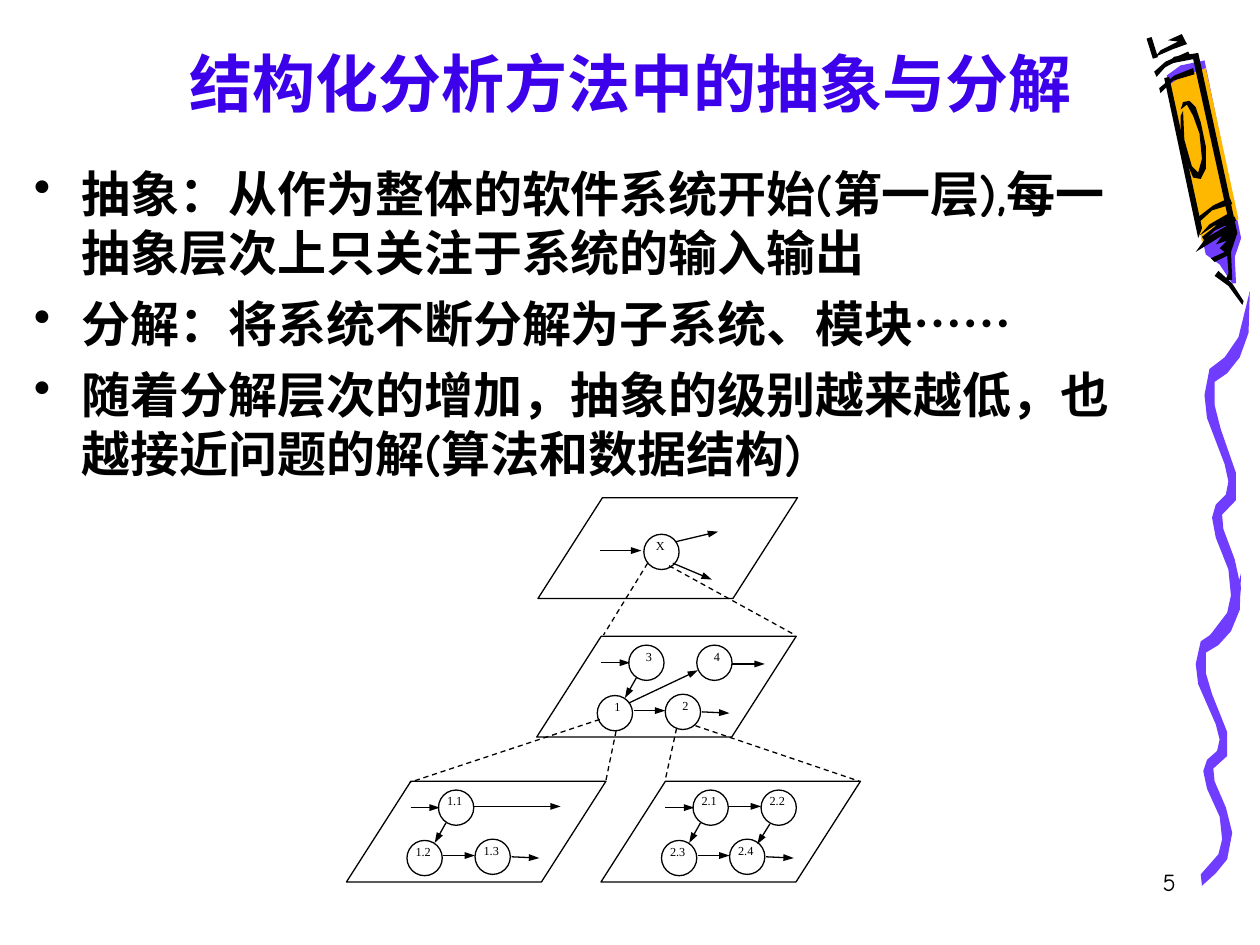
import dataclasses

import lxml.etree
import pptx
import pptx.dml.color
import pptx.enum.dml
import pptx.enum.shapes
import pptx.enum.text
import pptx.oxml.ns
import pptx.util

Inches = pptx.util.Inches
Align = pptx.enum.text.PP_ALIGN
Shape = pptx.enum.shapes.MSO_SHAPE


@dataclasses.dataclass
class Theme:
    ink: str = "000000"
    white: str = "FFFFFF"
    title: str = "3D00EA"
    purple: str = "703DFF"
    gold: str = "FFB800"
    main: str = "Comic Neue"
    dots: str = "Arial"
    label: str = "Times New Roman"
    head: float = 36
    body: float = 28
    page: float = 14
    small: float = 7
    thin: float = 0.75
    thick: float = 3


THEME = Theme()

# Outlines are "x,y" pairs in inches.
WAVE = (
    "9.53,6.94 9.67,6.78 9.7,6.66 9.68,6.48 9.58,6.26 9.55,6.12 9.58,6.03 9.66,5.96 "
    "9.68,5.87 9.65,5.75 9.51,5.43 9.49,5.27 9.53,5.09 9.65,5.01 9.76,4.87 9.85,4.55 "
    "9.84,4.84 9.77,5.01 9.67,5.12 9.57,5.18 9.57,5.34 9.62,5.51 9.74,5.81 9.74,6 "
    "9.63,6.1 9.64,6.2 9.73,6.41 9.78,6.61 9.74,6.82 9.65,6.93 9.54,7.03")
CRAYON = [
    (THEME.white, "9.5,.44 9.3,.47 9.19,.57 9.49,1.97 9.62,2.07 9.72,2.2 9.76,2.19 "
                  "9.75,1.98 9.79,1.85"),
    (THEME.purple, "9.26,.6 9.57,2.02 9.68,2.1 9.78,2.25 9.81,2.25 9.8,2.04 9.85,1.89 "
                   "9.56,.48 9.37,.52"),
    (THEME.gold, "9.54,1.92 9.68,1.79 9.83,1.74 9.57,.54 9.36,.62 9.27,.68"),
    (THEME.ink, "9.64,2.19 9.75,2.27 9.86,2.42 9.87,2.39 9.78,2.25 9.67,2.15"),
    (THEME.ink, "9.17,.45 9.31,.39 9.42,.35 9.38,.27 9.27,.32 9.35,.33 9.21,.4"),
    (THEME.ink, "9.37,.92 9.37,1.06 9.41,1.27 9.47,1.41 9.53,1.42 9.57,1.34 9.57,1.16 "
                "9.53,.97 9.49,.85 9.44,.8 9.39,.81 9.37,.87 9.42,.83 9.47,.92 9.52,1.06 "
                "9.54,1.26 9.51,1.37 9.46,1.32 9.4,1.11 9.39,.88"),
    (THEME.ink, "9.24,.62 9.51,1.89 9.54,1.81 9.28,.61"),
    (THEME.ink, "9.49,2 9.57,1.89 9.74,1.79 9.64,1.79 9.52,1.87 9.6,1.78 9.74,1.7 "
                "9.47,.47 9.31,.5 9.2,.56 9.32,.45 9.51,.42 9.82,1.85 9.77,2 9.78,2.22 "
                "9.72,2.23 9.75,2.17 9.74,2.03 9.64,2.08 9.61,2.05 9.72,2 9.68,1.97 "
                "9.74,1.91 9.65,1.94 9.7,1.87"),
    (THEME.ink, "9.56,1.91 9.64,1.83 9.81,1.75 9.8,1.72 9.69,1.76 9.54,1.88"),
    (THEME.ink, "9.51,1.77 9.62,1.67 9.78,1.62 9.76,1.57 9.63,1.63 9.5,1.73"),
    (THEME.ink, "9.21,.74 9.31,.64 9.48,.59 9.47,.54 9.32,.6 9.2,.7"),
    (THEME.ink, "9.18,.61 9.26,.52 9.45,.45 9.43,.41 9.25,.49 9.16,.57"),
]

BULLETS = [
    [("抽象：从作为整体的软件系统开始(第一层),每一抽象层次上只关注于系统的输入输出", THEME.main)],
    [("分解：将系统不断分解为子系统、模块", THEME.main), ("……", THEME.dots)],
    [("随着分解层次的增加，抽象的级别越来越低，也越接近问题的解(算法和数据结构)", THEME.main)],
]

# Node slots and arrows are measured from the corner of their plane.
SLOTS = [(0.73, 0.07), (1.27, 0.07), (0.48, 0.47), (1.02, 0.46)]
FLOWS = [(0.51, 0.21, 0.74, 0.21), (0.79, 0.33, 0.7, 0.49),
         (0.77, 0.59, 1.02, 0.59), (1.31, 0.6, 1.53, 0.61)]
PLANES = [
    (4.77, 6.2, ["2.1", "2.2", "2.3", "2.4"], Align.JUSTIFY,
     [(1.01, 0.2, 1.27, 0.2), (1.34, 0.34, 1.24, 0.5)]),
    (4.26, 5.05, ["3", "4", "1", "2"], Align.CENTER,
     [(1.55, 0.22, 1.81, 0.22), (0.73, 0.53, 1.28, 0.27)]),
    (2.75, 6.2, ["1.1", "", "1.2", "1.3"], Align.JUSTIFY,
     [(1.01, 0.2, 1.7, 0.2)]),
]
TOP = (4.27, 3.95)
TOP_FLOWS = [(0.49, 0.42, 0.82, 0.42), (1.09, 0.35, 1.43, 0.27), (1.07, 0.52, 1.38, 0.65)]
LINKS = [(5.14, 4.47, 4.79, 5.04), (5.31, 4.49, 6.31, 5.04),
         (4.76, 5.71, 3.25, 6.21), (4.89, 5.8, 4.81, 6.19),
         (5.37, 5.78, 5.28, 6.19), (5.52, 5.76, 6.82, 6.2)]


def color(code):
    return pptx.dml.color.RGBColor.from_string(code)


def add_tag(parent, name, **attrs):
    return lxml.etree.SubElement(parent, pptx.oxml.ns.qn(name), attrs)


def pairs(text):
    return [tuple(map(float, pair.split(","))) for pair in text.split()]


class Page:
    def __init__(self, deck, theme):
        self.theme = theme
        self.slide = deck.slides.add_slide(deck.slide_layouts[5])
        self.shapes = self.slide.shapes

    def style(self, para, size, face=None, tint=None, bold=False):
        font = para.font
        font.size, font.bold = pptx.util.Pt(size), bold
        font.color.rgb = color(tint or self.theme.ink)
        if face:
            font.name = face

    def title(self, text, x, y, w, h):
        box = self.shapes.title
        box.left, box.top, box.width, box.height = map(Inches, (x, y, w, h))
        frame = box.text_frame
        frame.auto_size = pptx.enum.text.MSO_AUTO_SIZE.NONE
        frame.vertical_anchor = pptx.enum.text.MSO_ANCHOR.BOTTOM
        frame.text = text
        para = frame.paragraphs[0]
        para.alignment = Align.CENTER
        self.style(para, self.theme.head, self.theme.main, self.theme.title, True)

    def frame(self, x, y, w, h):
        frame = self.shapes.add_textbox(*map(Inches, (x, y, w, h))).text_frame
        frame.word_wrap = True
        return frame

    def text(self, text, x, y, w, h, size, face, align):
        para = self.frame(x, y, w, h).paragraphs[0]
        para.text, para.alignment = text, align
        self.style(para, size, face)

    def bullets(self, items, x, y, w, h):
        frame = self.frame(x, y, w, h)
        for i, runs in enumerate(items):
            para = frame.add_paragraph() if i else frame.paragraphs[0]
            props = para._p.get_or_add_pPr()
            props.set("marL", str(Inches(0.38)))
            props.set("indent", str(-Inches(0.38)))
            add_tag(props, "a:buChar", char="•")
            if i:
                para.space_before = pptx.util.Pt(7)
            self.style(para, self.theme.body, bold=True)
            for words, face in runs:
                run = para.add_run()
                run.text, run.font.name = words, face

    def patch(self, points, fill):
        spots = [(Inches(x), Inches(y)) for x, y in points]
        pen = self.shapes.build_freeform(*spots[0], scale=1.0)
        pen.add_line_segments(spots[1:], close=True)
        shape = pen.convert_to_shape()
        shape.shadow.inherit = False
        shape.fill.solid()
        shape.fill.fore_color.rgb = color(fill)
        shape.line.fill.background()

    def outline(self, kind, x, y, w, h):
        shape = self.shapes.add_shape(kind, *map(Inches, (x, y, w, h)))
        shape.shadow.inherit = False
        shape.fill.background()
        shape.line.color.rgb = color(self.theme.ink)
        shape.line.width = pptx.util.Pt(self.theme.thin)
        return shape

    def plane(self, x, y):
        self.outline(Shape.PARALLELOGRAM, x, y, 2.06, 0.8).adjustments[0] = 0.64

    def node(self, text, x, y, align, shift=0.03):
        self.text(text, x - shift, y - 0.02, 0.38, 0.32, self.theme.small,
                  self.theme.label, align)
        self.outline(Shape.OVAL, x, y, 0.28, 0.28)

    def line(self, ends, width=THEME.thin, dash=False, arrow=False):
        kind = pptx.enum.shapes.MSO_CONNECTOR.STRAIGHT
        link = self.shapes.add_connector(kind, *map(Inches, ends))
        link.line.color.rgb = color(self.theme.ink)
        link.line.width = pptx.util.Pt(width)
        if dash:
            link.line.dash_style = pptx.enum.dml.MSO_LINE.DASH
        if arrow:
            add_tag(link.line._get_or_add_ln(), "a:tailEnd", type="triangle", w="sm", len="med")
        add_tag(link._element.spPr, "a:effectLst")

    def flows(self, x, y, items):
        for x1, y1, x2, y2 in items:
            self.line((x + x1, y + y1, x + x2, y + y2), arrow=True)


def main():
    deck = pptx.Presentation()
    deck.slide_width, deck.slide_height = Inches(10), Inches(7.5)
    page = Page(deck, THEME)

    wave = pairs(WAVE)
    page.patch(wave, THEME.purple)
    page.patch([(x + 0.07, 2.31 + (y - 4.55) * 1.145) for x, y in wave], THEME.purple)
    for fill, points in CRAYON:
        page.patch(pairs(points), fill)
    page.line((9.12, 0.3, 9.17, 0.46), THEME.thick)

    page.text("5", 7.35, 6.83, 2.08, 0.5, THEME.page, THEME.main, Align.RIGHT)
    page.title("结构化分析方法中的抽象与分解", 0.5, 0.17, 9, 0.83)
    page.bullets(BULLETS, 0.17, 1.25, 9, 2.67)

    for x, y, names, align, extra in PLANES:
        page.plane(x, y)
        for name, (dx, dy) in zip(names, SLOTS):
            if name:
                page.node(name, x + dx, y + dy, align)
        page.flows(x, y, FLOWS + extra)
    page.plane(*TOP)
    page.node("X", 5.11, 4.24, Align.CENTER, 0.06)
    page.flows(*TOP, TOP_FLOWS)
    for ends in LINKS:
        page.line(ends, dash=True)

    deck.save("out.pptx")


if __name__ == "__main__":
    main()
